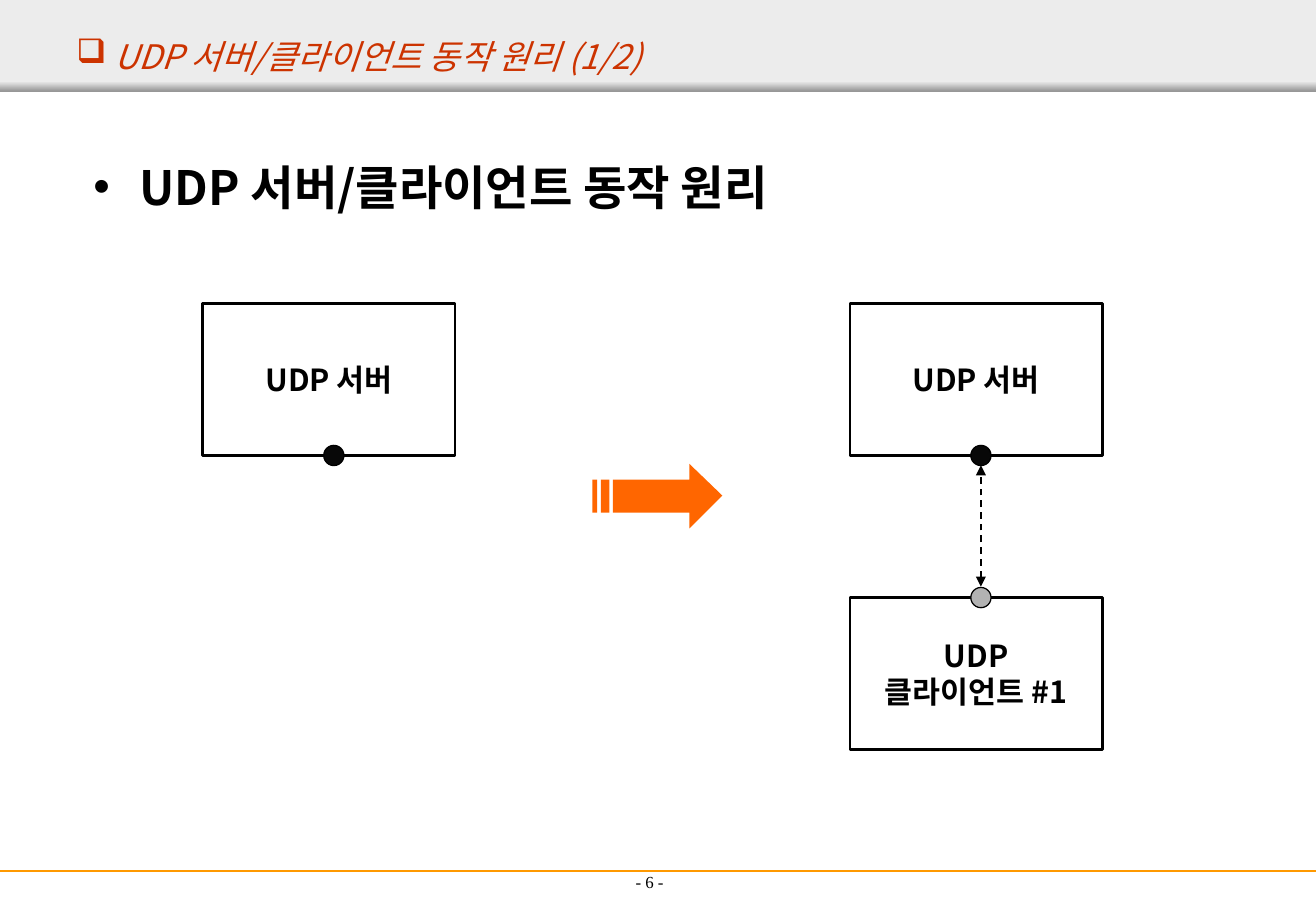
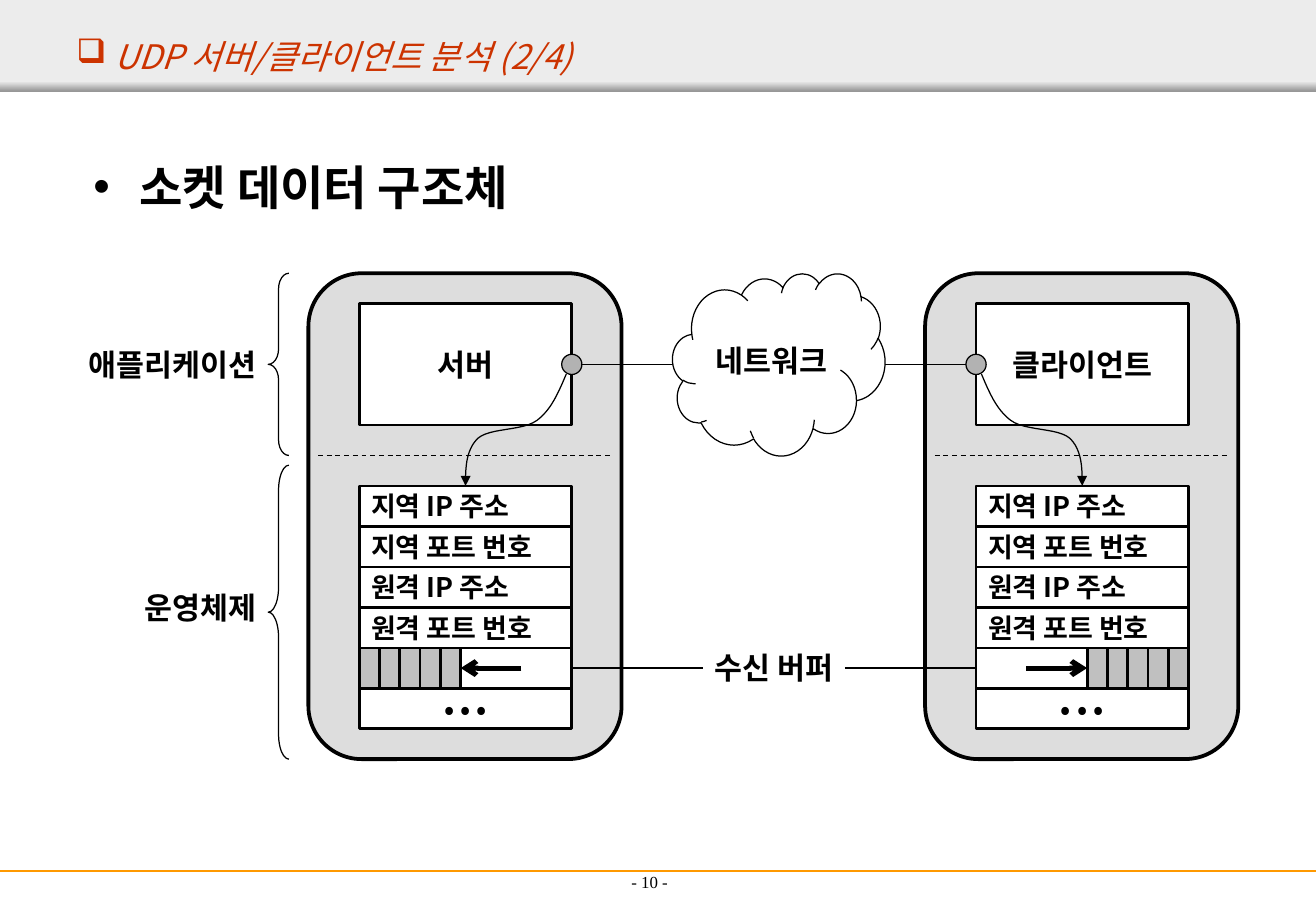
"""Build two slides on how UDP servers and clients work."""
from pptx import Presentation, util as u
from pptx.dml.color import RGBColor
from pptx.enum import dml, shapes, text
from pptx.oxml import ns, xmlchemy

WIDTH, HEIGHT = 10.84, 7.5
FONT, PAGE_FONT = "Noto Sans CJK KR", "Times New Roman"
BLACK, WHITE, RUST, ORANGE, AMBER = "000000", "FFFFFF", "CC3300", "FF6600", "FF9900"
BAND, BAND_EDGE, PANEL, QUEUE, SOCKET, SERVER_SOCKET = (
    "ECECEC", "979797", "DDDDDD", "C0C0C0", "B2B2B2", "080808")
SHAPE, ALIGN = shapes.MSO_SHAPE, text.PP_ALIGN
BOX_WIDTH, ROW, CELL, DOT = 1.75, 1 / 3, 1 / 6, 1 / 6
FIELDS = ["지역 IP 주소", "지역 포트 번호", "원격 IP 주소", "원격 포트 번호"]


def color(value):
    """Turn a hex string into a colour."""
    return RGBColor.from_string(value)


def xml_child(parent, tag, **attributes):
    """Append a drawing element to a parent and return it."""
    child = xmlchemy.OxmlElement(tag)
    for name, value in attributes.items():
        child.set(name, value)
    parent.append(child)
    return child


def place(shape, left, top, width, height):
    """Move and size a shape in inches."""
    shape.left, shape.top = u.Inches(left), u.Inches(top)
    shape.width, shape.height = u.Inches(width), u.Inches(height)


def write(shape, content, size, align=ALIGN.CENTER, font=FONT, ink=BLACK,
          bold=False, italic=False, anchor=text.MSO_ANCHOR.MIDDLE):
    """Fill a shape with uniformly formatted paragraphs."""
    frame = shape.text_frame
    frame.text = content
    frame.word_wrap = True
    frame.auto_size = text.MSO_AUTO_SIZE.NONE
    frame.vertical_anchor = anchor
    for paragraph in frame.paragraphs:
        paragraph.alignment = align
        paragraph.font.name, paragraph.font.size = font, u.Pt(size)
        paragraph.font.bold, paragraph.font.italic = bold, italic
        paragraph.font.color.rgb = color(ink)
    for properties in shape.element.iter(ns.qn("a:defRPr")):
        xml_child(properties, "a:ea", typeface=font)


def set_bullet(shape, character, ink, indent=0):
    """Give the paragraphs of a shape a coloured bullet and hanging indent."""
    for properties in shape.element.iter(ns.qn("a:pPr")):
        properties.set("marL", str(u.Inches(indent)))
        properties.set("indent", str(-u.Inches(indent)))
        defaults = properties.find(ns.qn("a:defRPr"))
        bullet_color = xml_child(properties, "a:buClr")
        xml_child(bullet_color, "a:srgbClr", val=ink)
        bullet = xml_child(properties, "a:buChar", char=character)
        defaults.addprevious(bullet_color)
        defaults.addprevious(bullet)


def style(shape, fill=None, line=None, weight=0.75):
    """Set fill and outline, and drop the shadow."""
    shape.shadow.inherit = False
    if fill:
        shape.fill.solid()
        shape.fill.fore_color.rgb = color(fill)
    else:
        shape.fill.background()
    if line:
        shape.line.color.rgb = color(line)
        shape.line.width = u.Pt(weight)
    else:
        shape.line.fill.background()
    return shape


def add_preset(slide, kind, left, top, width, height, fill=None, line=BLACK, weight=0.75):
    """Draw a preset shape."""
    shape = slide.shapes.add_shape(kind, 0, 0, 0, 0)
    place(shape, left, top, width, height)
    return style(shape, fill, line, weight)


def add_box(slide, left, top, width, height, content="", size=18,
            align=ALIGN.CENTER, fill=WHITE, line=BLACK):
    """Draw an outlined rectangle with an optional bold label."""
    box = add_preset(slide, SHAPE.RECTANGLE, left, top, width, height, fill, line, 1.5)
    if content:
        write(box, content, size, align, bold=True)
    return box


def add_label(slide, left, top, width, height, content, size, **formatting):
    """Add a text box."""
    label = slide.shapes.add_textbox(0, 0, 0, 0)
    place(label, left, top, width, height)
    write(label, content, size, **formatting)


def add_dot(slide, x, y, fill):
    """Draw a socket dot centred on a point."""
    add_preset(slide, SHAPE.OVAL, x - DOT / 2, y - DOT / 2, DOT, DOT, fill)


def add_ends(shape, head=None, tail=None):
    """Put arrowheads on an outline."""
    outline = next(shape.element.iter(ns.qn("a:ln")))
    for tag, kind in (("a:headEnd", head), ("a:tailEnd", tail)):
        if kind:
            xml_child(outline, tag, type=kind)


def add_line(slide, start, end, weight=0.75, ink=BLACK, dashed=False, head=None, tail=None):
    """Draw a straight connector."""
    points = [u.Inches(value) for value in (*start, *end)]
    line = slide.shapes.add_connector(shapes.MSO_CONNECTOR.STRAIGHT, *points)
    line.line.color.rgb = color(ink)
    line.line.width = u.Pt(weight)
    if dashed:
        line.line.dash_style = dml.MSO_LINE.DASH
    add_ends(line, head, tail)
    xml_child(line.element.spPr, "a:effectLst")
    return line


def add_outline(slide, contours, closed=True):
    """Draw a freeform from lists of points."""
    contours = [[(u.Inches(x), u.Inches(y)) for x, y in points] for points in contours]
    builder = slide.shapes.build_freeform(*contours[0][0])
    for number, points in enumerate(contours):
        if number:
            builder.move_to(*points[0])
        builder.add_line_segments(points[1:], close=closed)
    return builder.convert_to_shape()


def bezier(points, steps=12):
    """Return points along a chain of cubic curves."""
    curve = [points[0]]
    for first in range(0, len(points) - 1, 3):
        a, b, c, d = points[first:first + 4]
        for step in range(1, steps + 1):
            t = step / steps
            s = 1 - t
            curve.append(tuple(s**3 * a[k] + 3 * s * s * t * b[k] + 3 * s * t * t * c[k]
                               + t**3 * d[k] for k in (0, 1)))
    return curve


def prepare_layout(presentation):
    """Put the shared bands and placeholder positions on the layout."""
    layout = presentation.slide_layouts[1]
    place(layout.placeholders[0], 0.53, 0.25, 10.31, 0.42)
    place(layout.placeholders[1], 0.67, 1.25, 9.5, 5.44)
    return layout


def move_bands(slide, layout):
    """Draw the header and footer bands and hand them to the layout."""
    header = add_preset(slide, SHAPE.RECTANGLE, 0, 0, WIDTH, 0.75, BAND, None)
    edge = add_preset(slide, SHAPE.RECTANGLE, 0, 0.67, WIDTH, 0.08, BAND, None)
    edge.fill.gradient()
    edge.fill.gradient_angle = 270
    for stop, ink in zip(edge.fill.gradient_stops, (BAND, BAND_EDGE)):
        stop.color.rgb = color(ink)
    footer = add_line(slide, (0, 7.17), (WIDTH, 7.17), 1.5, AMBER)
    for position, band in enumerate((header, edge, footer), 2):
        layout.shapes.element.insert(position, band.element)


def add_slide(presentation, layout, title, heading, page):
    """Add a slide with its title, heading and page number."""
    slide = presentation.slides.add_slide(layout)
    title_shape, body = slide.placeholders
    write(title_shape, " " + title, 20, ALIGN.LEFT, ink=RUST, italic=True)
    set_bullet(title_shape, "❑", RUST)
    write(body, heading, 28, ALIGN.LEFT, bold=True, anchor=text.MSO_ANCHOR.TOP)
    body.text_frame.paragraphs[0].space_before = u.Pt(7)
    set_bullet(body, "•", BLACK, 0.38)
    add_label(slide, 3.69, 6.89, 3.32, 0.5, f"- {page} -", 10,
              font=PAGE_FONT, anchor=text.MSO_ANCHOR.BOTTOM)
    return slide


def add_striped_arrow(slide):
    """Draw the striped arrow between the two stages."""
    top, bottom = 3.95, 4.22
    stripes = [[(left, top), (right, top), (right, bottom), (left, bottom)]
               for left, right in ((4.88, 4.92), (4.95, 5.02))]
    arrow = [(5.05, top), (5.68, top), (5.68, 3.82), (5.95, 4.08),
             (5.68, 4.35), (5.68, bottom), (5.05, bottom)]
    style(add_outline(slide, [arrow, *stripes]), ORANGE)


def draw_principle(slide):
    """Show a server alone, then linked to its first client."""
    for left in (1.67, 7):
        add_box(slide, left, 2.5, 2.08, 1.25, "UDP 서버", fill=None)
        add_dot(slide, left + 1.08, 3.75, SERVER_SOCKET)
    add_box(slide, 7, 4.92, 2.08, 1.25, "UDP\n클라이언트 #1", fill=None)
    add_dot(slide, 8.08, 4.92, SOCKET)
    add_line(slide, (8.08, 4.83), (8.08, 3.83), 1, dashed=True,
             head="triangle", tail="triangle")
    add_striped_arrow(slide)


def draw_host(slide, left, name, side):
    """Draw a host whose socket lies on the given side (1 right, -1 left)."""
    panel = add_preset(slide, SHAPE.ROUNDED_RECTANGLE, left, 2.25, 2.58, 4, PANEL, weight=2.25)
    panel.adjustments[0] = 0.17
    box_left = left + 0.42
    center = box_left + BOX_WIDTH / 2
    add_box(slide, box_left, 2.5, BOX_WIDTH, 1, name)
    add_line(slide, (left + 0.08, 3.75), (left + 2.5, 3.75), dashed=True)
    for row, field in enumerate(FIELDS):
        add_box(slide, box_left, 4 + row * ROW, BOX_WIDTH, ROW, field, 16, ALIGN.LEFT)
    add_box(slide, box_left, 4 + 5 * ROW, BOX_WIDTH, ROW, "• • •", 16)
    queue_top = 4 + 4 * ROW
    add_box(slide, box_left, queue_top, BOX_WIDTH, ROW)
    for cell in range(5):
        cell_center = center - side * (BOX_WIDTH / 2 - (cell + 0.5) * CELL)
        add_box(slide, cell_center - CELL / 2, queue_top, CELL, ROW, fill=QUEUE)
    add_line(slide, (center + side * 0.46, 5.5), (center - side * 0.04, 5.5), 3, tail="arrow")
    add_dot(slide, center + side * BOX_WIDTH / 2, 3, SOCKET)
    offsets = [(0.83, 3.08), (0.77, 3.22), (0.71, 3.37), (0.59, 3.46), (0.47, 3.55),
               (0.2, 3.52), (0.1, 3.61), (0, 3.71), (0, 3.86), (0, 4)]
    curve = bezier([(center + side * x, y) for x, y in offsets])
    link = style(add_outline(slide, [curve], closed=False), line=BLACK)
    add_ends(link, tail="triangle")


def draw_layer(slide, top, height, label_top, name):
    """Mark a system layer with a brace and a label."""
    brace = add_preset(slide, SHAPE.LEFT_BRACE, 2.21, top, 0.17, height)
    brace.adjustments[0] = height / 2
    add_label(slide, 0.4, label_top, 1.81, ROW, name, 18, align=ALIGN.RIGHT, bold=True)


def draw_socket_structure(slide):
    """Show the socket data held by both hosts."""
    draw_host(slide, 2.54, "서버", 1)
    draw_host(slide, 7.62, "클라이언트", -1)
    add_line(slide, (4.79, 3), (7.96, 3))
    network = add_preset(slide, SHAPE.CLOUD, 5.54, 2.25, 1.75, 1.5, WHITE)
    write(network, "네트워크", 18, bold=True)
    draw_layer(slide, 2.25, 1.5, 2.83, "애플리케이션")
    draw_layer(slide, 3.83, 2.42, 4.83, "운영체제")
    add_box(slide, 5.54, 5.33, 1.67, ROW, "수신 버퍼", line=None)
    for start, end in ((4.71, 5.79), (6.96, 8.04)):
        add_line(slide, (start, 5.5), (end, 5.5))


def main():
    """Build and save the presentation."""
    presentation = Presentation()
    presentation.slide_width, presentation.slide_height = u.Inches(WIDTH), u.Inches(HEIGHT)
    layout = prepare_layout(presentation)
    principle = add_slide(presentation, layout, "UDP 서버/클라이언트 동작 원리 (1/2)",
                          "UDP 서버/클라이언트 동작 원리", 6)
    move_bands(principle, layout)
    draw_principle(principle)
    structure = add_slide(presentation, layout, "UDP 서버/클라이언트 분석 (2/4)",
                          "소켓 데이터 구조체", 10)
    draw_socket_structure(structure)
    presentation.save("out.pptx")


if __name__ == "__main__":
    main()
